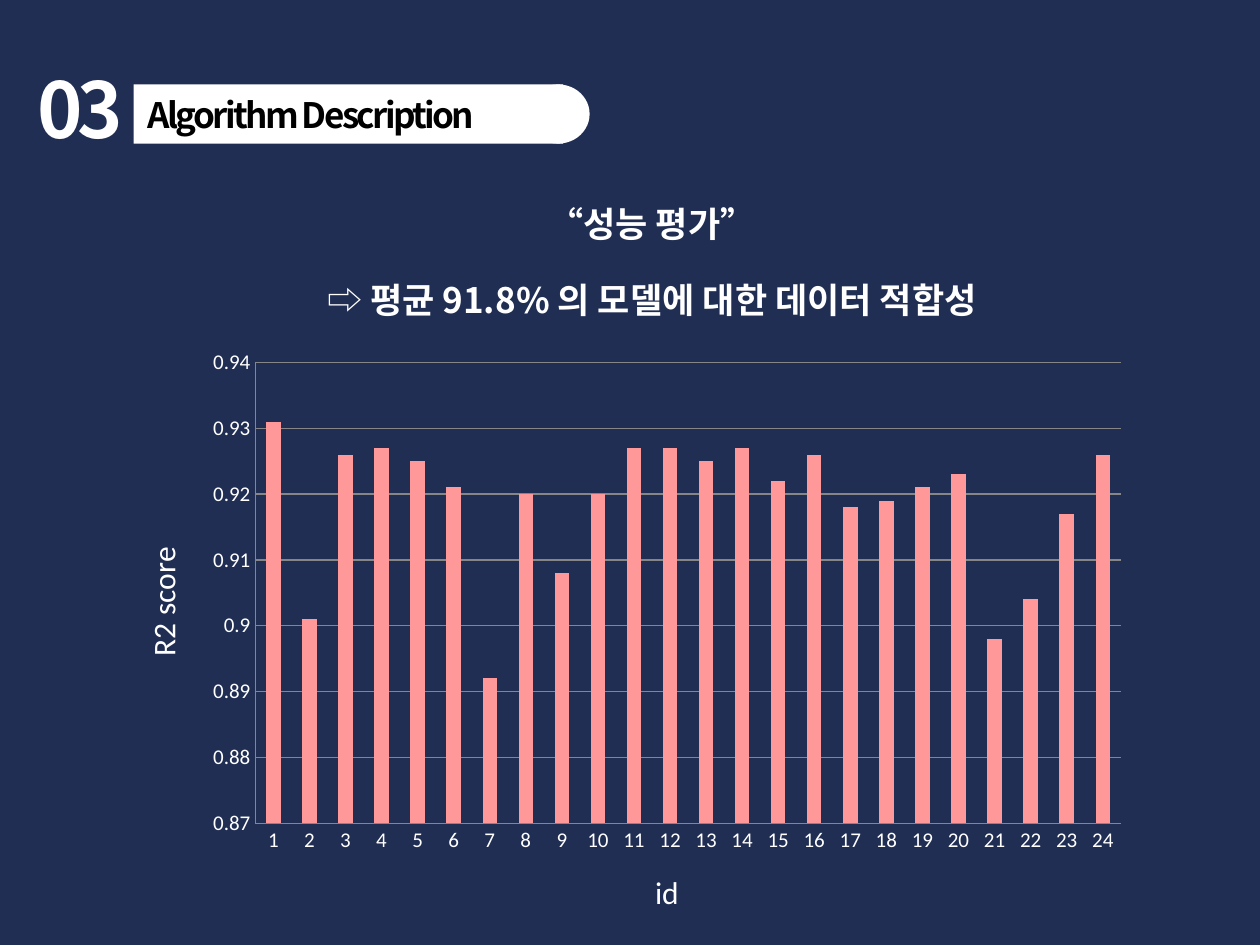
"""Build the algorithm description slide with its R2 score chart."""
from lxml.etree import SubElement
from pptx import Presentation
from pptx.chart.data import CategoryChartData
from pptx.dml.color import RGBColor
from pptx.enum.chart import XL_CHART_TYPE, XL_TICK_MARK
from pptx.enum.shapes import MSO_SHAPE
from pptx.enum.text import MSO_ANCHOR, MSO_AUTO_SIZE, PP_ALIGN
from pptx.oxml import parse_xml
from pptx.oxml.ns import nsdecls, qn
from pptx.util import Inches, Pt

NAVY = RGBColor(0x21, 0x2E, 0x53)
WHITE = RGBColor(0xFF, 0xFF, 0xFF)
BLACK = RGBColor(0, 0, 0)
PINK = RGBColor(0xFF, 0x99, 0x99)
GRAY = RGBColor(0x86, 0x86, 0x86)
HEADING_FACE = "Noto Sans CJK KR"
CHART_FACE = "Calibri"
SCORES = [0.931, 0.901, 0.926, 0.927, 0.925, 0.921, 0.892, 0.920,
          0.908, 0.920, 0.927, 0.927, 0.925, 0.927, 0.922, 0.926,
          0.918, 0.919, 0.921, 0.923, 0.898, 0.904, 0.917, 0.926]


def add_words(paragraph, words, size, color, bold=True, spacing=0):
    run = paragraph.add_run()
    run.text = words
    formats = {"size": Pt(size), "bold": bold, "name": HEADING_FACE}
    for key, value in formats.items():
        setattr(run.font, key, value)
    run.font.color.rgb = color
    properties = run.font._element
    SubElement(properties, qn("a:ea")).set("typeface", HEADING_FACE)
    if spacing:
        properties.set("spc", str(round(spacing * 100)))


def place(box, left, top, width, height):
    bounds = {"left": left, "top": top, "width": width, "height": height}
    for key, value in bounds.items():
        setattr(box, key, Inches(value))
    frame = box.text_frame
    settings = {"word_wrap": True, "vertical_anchor": MSO_ANCHOR.TOP,
                "auto_size": MSO_AUTO_SIZE.SHAPE_TO_FIT_TEXT}
    for key, value in settings.items():
        setattr(frame, key, value)
    return frame


deck = Presentation()
deck.slide_width, deck.slide_height = Inches(10), Inches(7.5)
slide = deck.slides.add_slide(deck.slide_layouts[5])
slide.background.fill.solid()
slide.background.fill.fore_color.rgb = NAVY

number = place(slide.shapes.add_textbox(0, 0, 0, 0), 0.2, 0.44, 1.1, 0.84)
add_words(number.paragraphs[0], "03", 44, WHITE, spacing=-3)

banner = slide.shapes.add_group_shape()
for outline, left, width in ((MSO_SHAPE.RECTANGLE, 1.06, 3.41), (MSO_SHAPE.OVAL, 4.18, 0.5)):
    part = banner.shapes.add_shape(outline, Inches(left), Inches(0.67), Inches(width), Inches(0.47))
    part.shadow.inherit = False
    part.fill.solid()
    part.fill.fore_color.rgb = WHITE
    part.line.fill.background()

title = slide.shapes.title
slide.shapes._spTree.append(title._element)
heading = place(title, 1.07, 0.69, 3.47, 0.44).paragraphs[0]
heading.alignment = PP_ALIGN.LEFT
add_words(heading, "Algorithm Description", 20, BLACK, spacing=-1.5)

score_data = CategoryChartData(number_format="General")
score_data.categories = [str(number_id) for number_id in range(1, len(SCORES) + 1)]
score_data.add_series("Series 1", SCORES)
chart = slide.shapes.add_chart(XL_CHART_TYPE.COLUMN_CLUSTERED, Inches(0.94), Inches(2.68),
                               Inches(8.11), Inches(4.8), score_data).chart
chart.has_legend = False
chart.has_title = False
chart.font.name = CHART_FACE
chart.font.size = Pt(18)

plot = chart.plots[0]
plot.gap_width = 150
plot.vary_by_categories = False
bars = plot.series[0].format.fill
bars.solid()
bars.fore_color.rgb = PINK

for axis, caption in ((chart.category_axis, "id"), (chart.value_axis, "R2 score")):
    axis.major_tick_mark = axis.minor_tick_mark = XL_TICK_MARK.NONE
    axis.format.line.color.rgb = GRAY
    axis.format.line.width = Pt(0.75)
    caption_run = axis.axis_title.text_frame.paragraphs[0].add_run()
    caption_run.text = caption
    for font, size in ((axis.tick_labels.font, 12), (caption_run.font, 18)):
        font.size = Pt(size)
        font.name = CHART_FACE
        font.bold = False
        font.color.rgb = WHITE

scale = {"minimum_scale": 0.87, "maximum_scale": 0.94, "major_unit": 0.01,
         "has_major_gridlines": True}
for key, value in scale.items():
    setattr(chart.value_axis, key, value)
grid = chart.value_axis.major_gridlines.format.line
grid.color.rgb = GRAY
grid.width = Pt(0.75)

plot_area = chart._chartSpace.chart.plotArea
for old_layout in plot_area.findall(qn("c:layout")):
    plot_area.remove(old_layout)
layout = parse_xml(f"<c:layout {nsdecls('c')}><c:manualLayout/></c:layout>")
plot_area.insert(0, layout)
area = {"layoutTarget": "inner", "xMode": "edge", "yMode": "edge",
        "x": 0.134, "y": 0.041, "w": 0.847, "h": 0.762}
for key, value in area.items():
    SubElement(layout[0], qn(f"c:{key}")).set("val", str(value))

message = place(slide.shapes.add_textbox(0, 0, 0, 0), 1.77, 1.56, 6.81, 1.11)
topic, finding = message.paragraphs[0], message.add_paragraph()
topic.alignment = finding.alignment = PP_ALIGN.CENTER
finding.space_before = Pt(19.5)
add_words(topic, "“성능 평가”", 20, WHITE)
add_words(finding, "⇨ ", 20, WHITE, bold=False)
add_words(finding, "평균 91.8% 의 모델에 대한 데이터 적합성", 20, WHITE)

deck.save("out.pptx")
